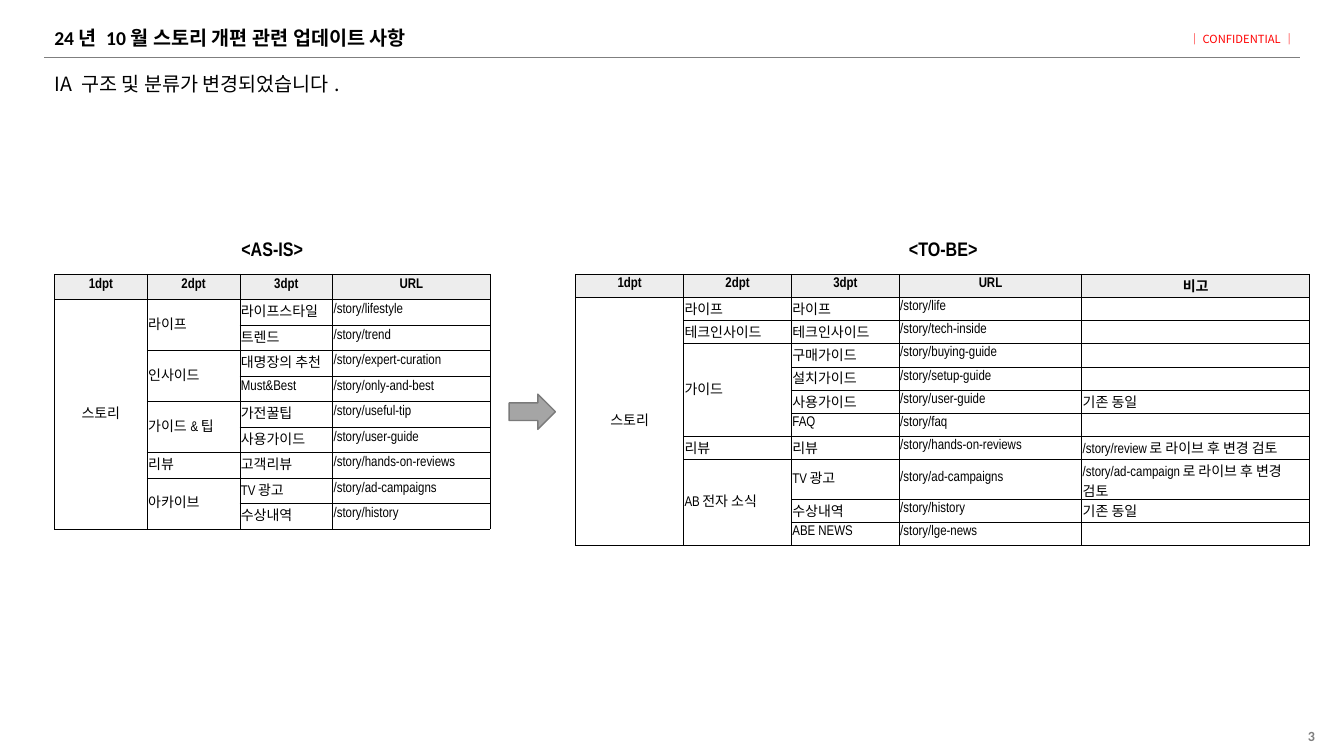
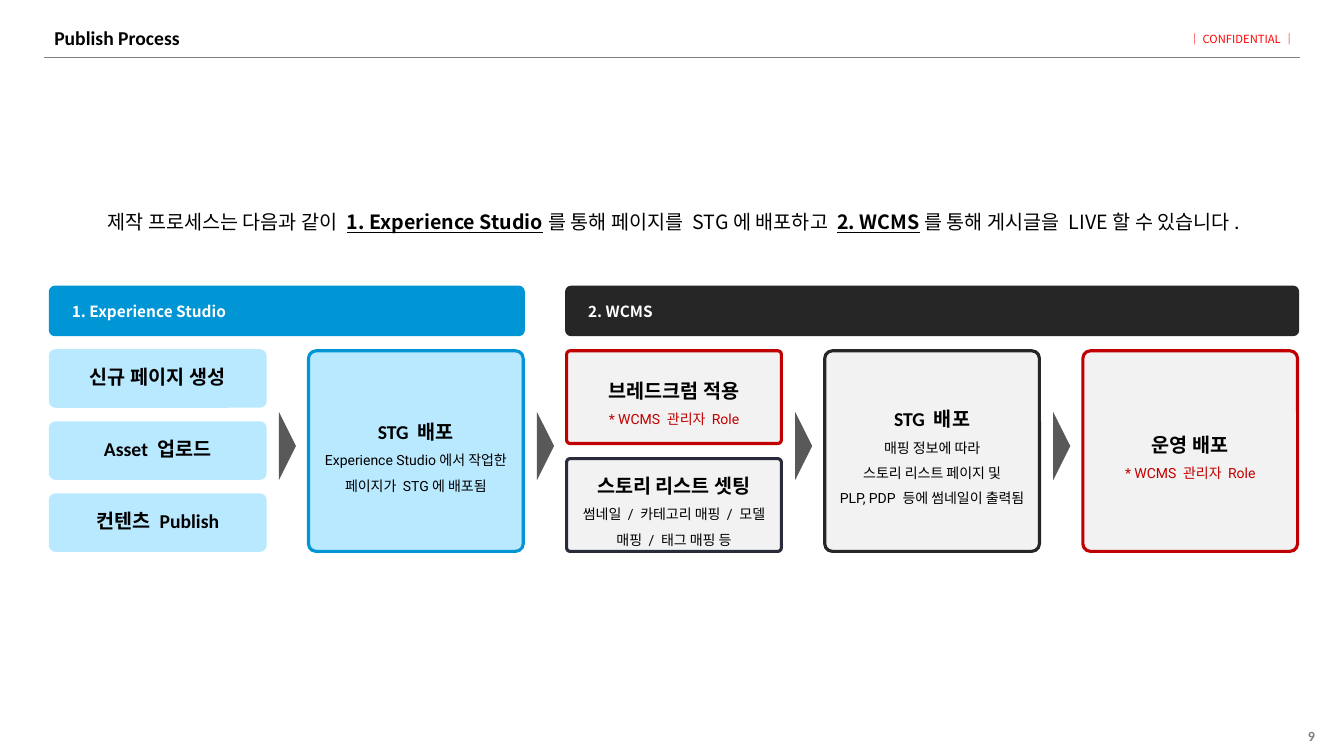
from lxml import etree
from pptx import Presentation
from pptx.dml.color import RGBColor
from pptx.enum.shapes import MSO_CONNECTOR, MSO_SHAPE as SHAPE
from pptx.enum.text import MSO_ANCHOR as ANCHOR, PP_ALIGN as ALIGN
from pptx.oxml.ns import qn
from pptx.util import Inches, Pt

COLORS = {
    "black": "000000", "white": "FFFFFF", "gray": "7F7F7F", "red": "FF0000",
    "header": "EDEDED", "arrow": "A5A5A5", "arrow_line": "7A7A7A",
    "blue": "0096D6", "sky": "B9E9FF", "dark": "262626", "navy": "292B3B",
    "pale": "F2F2F2", "crimson": "C00000", "marker": "595959",
}
RGB = {name: RGBColor.from_string(value) for name, value in COLORS.items()}
KOREAN = "Noto Sans CJK KR"

TITLE = {"name": "Calibri", "size": Pt(14), "bold": True, "color": "black"}
BODY = {"name": KOREAN, "size": Pt(14), "bold": False, "color": "black"}
DETAIL = {"name": "Roboto", "size": Pt(10), "bold": False, "color": "black"}
ROLE = {**DETAIL, "color": "crimson"}
BAND = {"name": KOREAN, "size": Pt(11), "bold": True, "color": "white"}
TAG = {"name": KOREAN, "size": Pt(8), "bold": True, "color": "red"}
NUMBER = {"name": "Calibri", "size": Pt(10), "bold": True, "color": "gray"}
CELL = {"name": "Arial Narrow", "size": Pt(10), "bold": False, "color": "black"}
HEAD = {**CELL, "bold": True}
CAPTION = {**HEAD, "size": Pt(14)}
KEYWORD = {"bold": True, "underline": True}


def write(tf, lines, align=ALIGN.LEFT, spacing=None):
    """Fill a frame; each line is a list of (text, format) runs."""
    for i, runs in enumerate(lines):
        p = tf.paragraphs[0] if i == 0 else tf.add_paragraph()
        p.alignment = align
        p.line_spacing = spacing
        for text, fmt in runs:
            r = p.add_run()
            r.text = text
            for key, value in fmt.items():
                if key == "color":
                    r.font.color.rgb = RGB[value]
                else:
                    setattr(r.font, key, value)
            etree.SubElement(r.font._element, qn("a:ea"), typeface=KOREAN)


def add_box(s, at, kind=None, fill=None, line=None, width=2.25, margin=0.1):
    """Add a preset shape, or a text box when no kind is given."""
    place = [Inches(v) for v in at]
    if kind is None:
        sp = s.shapes.add_textbox(*place)
    else:
        sp = s.shapes.add_shape(kind, *place)
        sp.shadow.inherit = False
        sp.fill.solid()
        sp.fill.fore_color.rgb = RGB[fill]
        if line:
            sp.line.color.rgb = RGB[line]
            sp.line.width = Pt(width)
        else:
            sp.line.fill.background()
    tf = sp.text_frame
    tf.word_wrap = True
    tf.vertical_anchor = ANCHOR.MIDDLE
    tf.margin_left = tf.margin_right = Inches(margin)
    return sp


prs = Presentation()
prs.slide_width, prs.slide_height = Inches(13.33), Inches(7.5)

# Shared frame: title, rule, confidential tag and page number
slides = []
for title, number in [("24년 10월 스토리 개편 관련 업데이트 사항", "3"),
                      ("Publish Process", "9")]:
    s = prs.slides.add_slide(prs.slide_layouts[6])
    rule = s.shapes.add_connector(MSO_CONNECTOR.STRAIGHT, Inches(0.44), Inches(0.57),
                                  Inches(12.89), Inches(0.57))
    rule.line.color.rgb = RGB["gray"]
    rule.line.width = Pt(0.75)
    etree.SubElement(rule._element.spPr, qn("a:effectLst"))
    tag = add_box(s, (11.79, 0.27, 1.11, 0.24), margin=0)
    tag.text_frame.vertical_anchor = ANCHOR.TOP
    write(tag.text_frame, [[("｜", TAG), ("CONFIDENTIAL", {**TAG, "bold": False}),
                            ("｜", TAG)]], ALIGN.JUSTIFY)
    write(add_box(s, (0.44, 0.21, 12.46, 0.35)).text_frame, [[(title, TITLE)]], spacing=0.9)
    write(add_box(s, (10.14, 7.2, 3, 0.2)).text_frame, [[(number, NUMBER)]], ALIGN.RIGHT)
    slides.append(s)

# Slide 1: two menu tables; None continues the cell above
s = slides[0]
write(add_box(s, (0.44, 0.67, 10.34, 0.35)).text_frame,
      [[("IA 구조 및 분류가 변경되었습니다.", BODY)]], spacing=0.9)

as_is = [
    ("1dpt", "2dpt", "3dpt", "URL"),
    ("스토리", "라이프", "라이프스타일", "/story/lifestyle"),
    (None, None, "트렌드", "/story/trend"),
    (None, "인사이드", "대명장의 추천", "/story/expert-curation"),
    (None, None, "Must&Best", "/story/only-and-best"),
    (None, "가이드&팁", "가전꿀팁", "/story/useful-tip"),
    (None, None, "사용가이드", "/story/user-guide"),
    (None, "리뷰", "고객리뷰", "/story/hands-on-reviews"),
    (None, "아카이브", "TV광고", "/story/ad-campaigns"),
    (None, None, "수상내역", "/story/history"),
]
to_be = [
    ("1dpt", "2dpt", "3dpt", "URL", "비고"),
    ("스토리", "라이프", "라이프", "/story/life", ""),
    (None, "테크인사이드", "테크인사이드", "/story/tech-inside", ""),
    (None, "가이드", "구매가이드", "/story/buying-guide", ""),
    (None, None, "설치가이드", "/story/setup-guide", ""),
    (None, None, "사용가이드", "/story/user-guide", "기존 동일"),
    (None, None, "FAQ", "/story/faq", ""),
    (None, "리뷰", "리뷰", "/story/hands-on-reviews", "/story/review로 라이브 후 변경 검토"),
    (None, "AB전자 소식", "TV광고", "/story/ad-campaigns",
     "/story/ad-campaign로 라이브 후 변경 검토"),
    (None, None, "수상내역", "/story/history", "기존 동일"),
    (None, None, "ABE NEWS", "/story/lge-news", ""),
]
for left, widths, rows in [(0.54, (0.92, 0.92, 0.92, 1.56), as_is),
                           (5.71, (1.07, 1.07, 1.07, 1.81, 2.26), to_be)]:
    height = 2.53
    table = s.shapes.add_table(len(rows), len(widths), Inches(left), Inches(2.72),
                               Inches(sum(widths)), Inches(height)).table
    for col, width in zip(table.columns, widths):
        col.width = Inches(width)
    for row in table.rows:
        row.height = Inches(height / len(rows))
    for i, values in enumerate(rows):
        for j, text in enumerate(values):
            cell = table.cell(i, j)
            cell.margin_left = cell.margin_right = cell.margin_top = Inches(0.01)
            cell.margin_bottom = Inches(0.05)
            cell.vertical_anchor = ANCHOR.MIDDLE
            for side in ("lnL", "lnR", "lnT", "lnB"):
                ln = etree.SubElement(cell._tc.get_or_add_tcPr(), qn(f"a:{side}"),
                                      w=str(Pt(0.5)))
                fill = etree.SubElement(ln, qn("a:solidFill"))
                etree.SubElement(fill, qn("a:srgbClr"), val=COLORS["black"])
            if i == 0:
                cell.fill.solid()
                cell.fill.fore_color.rgb = RGB["header"]
            else:
                cell.fill.background()
            if text:
                write(cell.text_frame, [[(text, CELL if i else HEAD)]],
                      ALIGN.CENTER if i == 0 or j == 0 else ALIGN.LEFT)
            else:
                etree.SubElement(cell.text_frame.paragraphs[0]._p, qn("a:endParaRPr"), sz="1000")
            if text and i:
                last = i
                while last + 1 < len(rows) and rows[last + 1][j] is None:
                    last += 1
                if last > i:
                    cell.merge(table.cell(last, j))

add_box(s, (5.05, 3.91, 0.46, 0.35), SHAPE.RIGHT_ARROW, "arrow", "arrow_line", 1)
for text, at in [("<AS-IS>", (2.29, 2.3, 0.82, 0.34)), ("<TO-BE>", (8.91, 2.3, 0.89, 0.34))]:
    caption = add_box(s, at)
    caption.text_frame.word_wrap = False
    write(caption.text_frame, [[(text, CAPTION)]], ALIGN.CENTER)

# Slide 2: five columns of process steps
s = slides[1]
write(add_box(s, (0.92, 2.04, 11.53, 0.35)).text_frame, [[
    ("제작 프로세스는 다음과 같이 ", BODY),
    ("1. Experience Studio", {**BODY, **KEYWORD}),
    ("를 통해 페이지를 STG에 배포하고 ", BODY),
    ("2. WCMS", {**BODY, **KEYWORD}),
    ("를 통해 게시글을 LIVE할 수 있습니다.", BODY),
]], ALIGN.CENTER, 0.9)

STEP_W, PITCH, TOP, FULL_H, HALF_H = 2.13, 2.56, 3.48, 1.99, 0.92
lefts = [0.5 + PITCH * i for i in range(5)]

for text, first, last, color in [("1. Experience Studio", 0, 1, "blue"),
                                 ("2. WCMS", 2, 4, "dark")]:
    band = add_box(s, (lefts[first], 2.85, lefts[last] + STEP_W - lefts[first], 0.47),
                   SHAPE.ROUNDED_RECTANGLE, color, color, margin=0.2)
    band.adjustments[0] = 0.094
    write(band.text_frame, [[(text, BAND)]])

for i, text in enumerate(["신규 페이지 생성", "Asset 업로드", "컨텐츠 Publish"]):
    task = add_box(s, (lefts[0], TOP + 0.715 * i, STEP_W, 0.55),
                   SHAPE.ROUNDED_RECTANGLE, "sky", "sky")
    task.adjustments[0] = 0.094
    write(task.text_frame, [[(text, TITLE)]], ALIGN.CENTER, 0.9)

steps = [
    (1, TOP, FULL_H, "sky", "blue", "STG 배포", DETAIL,
     ["Experience Studio에서 작업한", "페이지가 STG에 배포됨"]),
    (2, TOP, HALF_H, "pale", "crimson", "브레드크럼 적용", ROLE, ["* WCMS 관리자 Role"]),
    (2, TOP + FULL_H - HALF_H, HALF_H, "pale", "navy", "스토리 리스트 셋팅", DETAIL,
     ["썸네일 / 카테고리 매핑 / 모델 매핑 / 태그 매핑 등"]),
    (3, TOP, FULL_H, "pale", "dark", "STG 배포", DETAIL,
     ["매핑 정보에 따라", "스토리 리스트 페이지 및", "PLP, PDP 등에 썸네일이 출력됨"]),
    (4, TOP, FULL_H, "pale", "crimson", "운영 배포", ROLE, ["* WCMS 관리자 Role"]),
]
for col, top, height, fill, line, name, fmt, details in steps:
    step = add_box(s, (lefts[col], top, STEP_W, height), SHAPE.ROUNDED_RECTANGLE, fill, line)
    step.adjustments[0] = 0.038
    write(step.text_frame, [[(name, TITLE)]] + [[(d, fmt)] for d in details],
          ALIGN.CENTER, 1.5)

for left in lefts[:-1]:
    marker = add_box(s, (left + 2.01, 4.34, 0.68, 0.17), SHAPE.ISOSCELES_TRIANGLE, "marker")
    marker.rotation = 90

prs.save("out.pptx")
